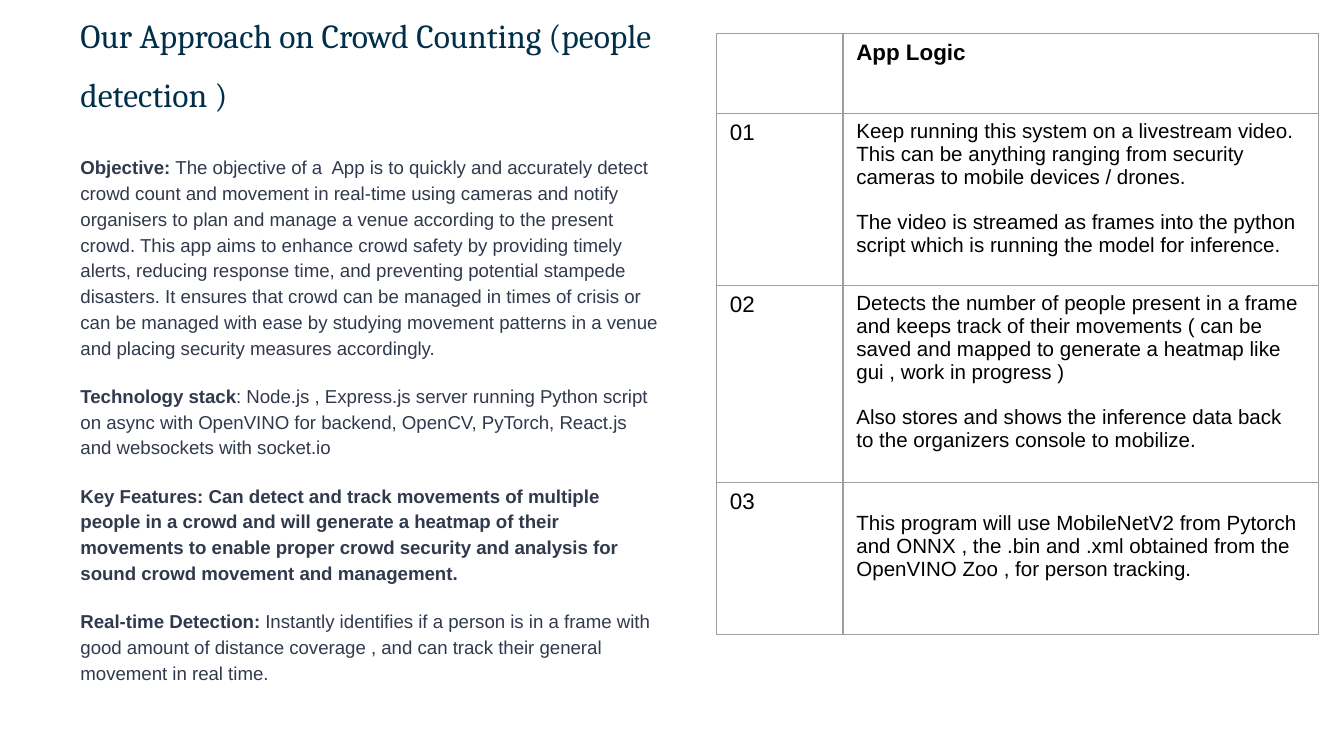
from lxml.etree import SubElement
from pptx import Presentation
from pptx.dml.color import RGBColor
from pptx.enum.text import MSO_ANCHOR, MSO_AUTO_SIZE, PP_ALIGN
from pptx.oxml import parse_xml
from pptx.oxml.ns import nsdecls, qn
from pptx.util import Cm, Pt


def color(value):
    return RGBColor.from_string(value)


def add_span(para, text, ink, **formats):
    span = para.add_run()
    span.text = text
    for name, value in formats.items():
        setattr(span.font, name, value)
    span.font.color.rgb = color(ink)


deck = Presentation()
deck.slide_width, deck.slide_height = Cm(25.4), Cm(14.29)
page = deck.slides.add_slide(deck.slide_layouts[1])
title, body = page.placeholders

for box, left, top, width, height in [
    (title, 1.27, 0.03, 12.14, 2.82),
    (body, 1.27, 2.64, 11.4, 9.8),
]:
    place = {"left": left, "top": top, "width": width, "height": height}
    for name, value in place.items():
        setattr(box, name, Cm(value))
    frame_format = {
        "margin_left": Cm(0.25), "margin_right": Cm(0.25),
        "margin_top": Cm(0.25), "margin_bottom": Cm(0.25),
        "word_wrap": True, "auto_size": MSO_AUTO_SIZE.NONE,
        "vertical_anchor": MSO_ANCHOR.TOP,
    }
    for name, value in frame_format.items():
        setattr(box.text_frame, name, value)

heading = title.text_frame.paragraphs[0]
heading.alignment = PP_ALIGN.LEFT
for text, size in [("Our Approach on Crowd Counting (people detection )", 18), (" ", 28)]:
    add_span(heading, text, "002F4A", name="Cambria", size=Pt(size), bold=False)

sections = [
    [("Objective: ", True),
     ("The objective of a  App is to quickly and accurately detect crowd count and "
      "movement in real-time using cameras and notify organisers to plan and manage a "
      "venue according to the present crowd. This app aims to enhance crowd safety by "
      "providing timely alerts, reducing response time, and preventing potential stampede "
      "disasters. It ensures that crowd can be managed in times of crisis or can be managed "
      "with ease by studying movement patterns in a venue and placing security measures "
      "accordingly.", False)],
    [("Technology stack", True),
     (": Node.js , Express.js server running Python script on async with OpenVINO for "
      "backend, OpenCV, PyTorch, React.js and websockets with socket.io", False)],
    [("Key Features: Can detect and track movements of multiple people in a crowd and will "
      "generate a heatmap of their movements to enable proper crowd security and analysis "
      "for sound crowd movement and management.", True)],
    [("Real-time Detection:", True),
     (" Instantly identifies if a person is in a frame with good amount of distance "
      "coverage , and can track their general movement in real time.", False)],
]
for index, section in enumerate(sections):
    para = body.text_frame.add_paragraph() if index else body.text_frame.paragraphs[0]
    para.line_spacing = 1.15
    para.space_before = Pt(12 if index else 0)
    properties = para._p.get_or_add_pPr()
    properties.set("marL", "0")
    properties.set("indent", "0")
    SubElement(properties, qn("a:buNone"))
    for text, bold in section:
        add_span(para, text, "31394D", name="Arial", size=Pt(10), bold=bold)

rows = [
    (1.5, "", ["App Logic"]),
    (3.25, "01", [
        "Keep running this system on a livestream video.",
        "This can be anything ranging from security cameras to mobile devices / drones.",
        "The video is streamed as frames into the python script which is running the model "
        "for inference."]),
    (3.73, "02", [
        "Detects the number of people present in a frame and keeps track of their movements "
        "( can be saved and mapped to generate a heatmap like gui , work in progress )",
        "Also stores and shows the inference data back to the organizers console to "
        "mobilize."]),
    (2.87, "03", [
        "This program will use MobileNetV2 from Pytorch and ONNX , the .bin and .xml "
        "obtained from the OpenVINO Zoo , for person tracking."]),
]
table = page.shapes.add_table(
    len(rows), 2, Cm(13.54), Cm(0.64), Cm(11.38), Cm(11.35)).table
table.first_row = table.horz_banding = False
table.columns[0].width, table.columns[1].width = Cm(2.39), Cm(8.99)

for row_index, (height, number, steps) in enumerate(rows):
    table.rows[row_index].height = Cm(height)
    for column, texts in enumerate([[number], steps]):
        cell = table.cell(row_index, column)
        cell.fill.background()
        for position, side in enumerate(["lnL", "lnR", "lnT", "lnB"]):
            border = parse_xml(
                f'<a:{side} {nsdecls("a")} w="{Pt(0.75)}"><a:solidFill>'
                f'<a:srgbClr val="9E9E9E"/></a:solidFill></a:{side}>')
            cell._tc.get_or_add_tcPr().insert(position, border)
        is_header = row_index == 0
        size = 12 if is_header or column == 0 else 11
        for index, text in enumerate(texts):
            para = cell.text_frame.add_paragraph() if index else cell.text_frame.paragraphs[0]
            if index and index == len(texts) - 1:
                para.space_before = Pt(12)
            if text:
                add_span(para, text, "000000", name="Arial", size=Pt(size), bold=is_header)

table.cell(3, 1).margin_top = Cm(0.56)

deck.save("out.pptx")
